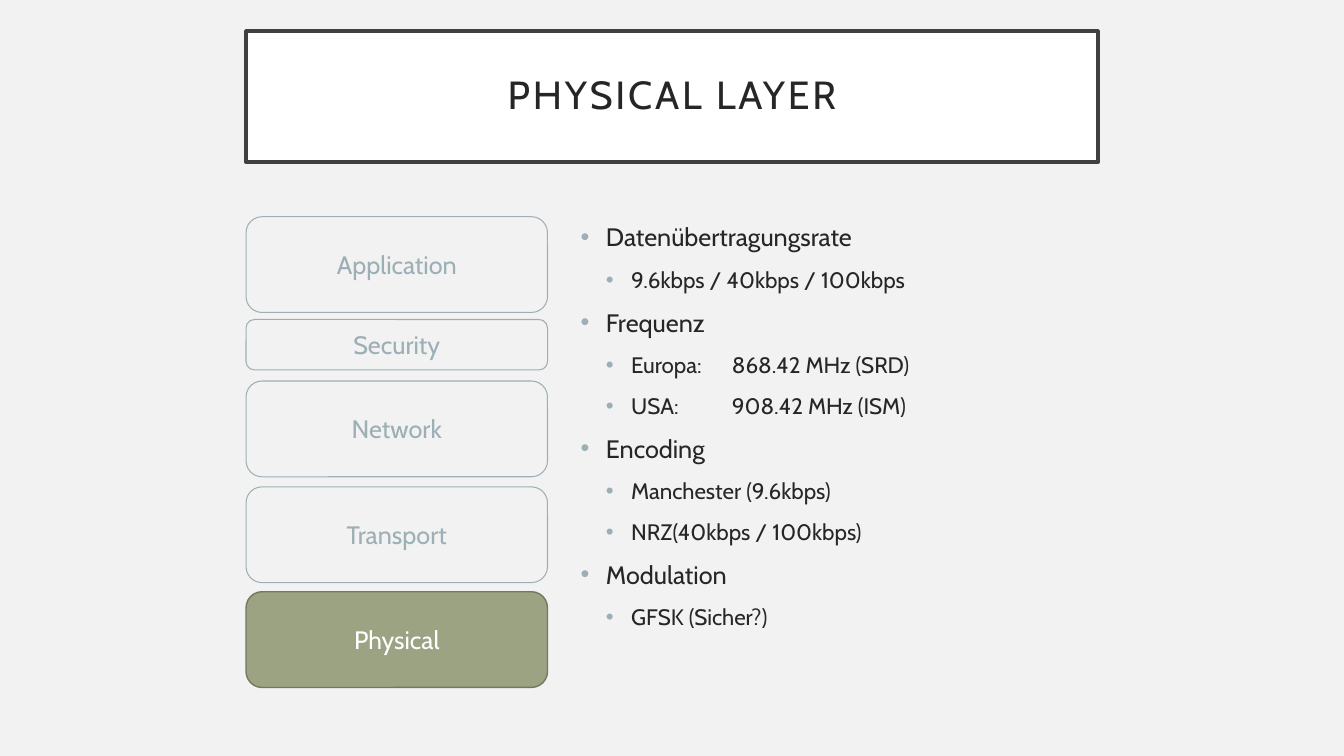
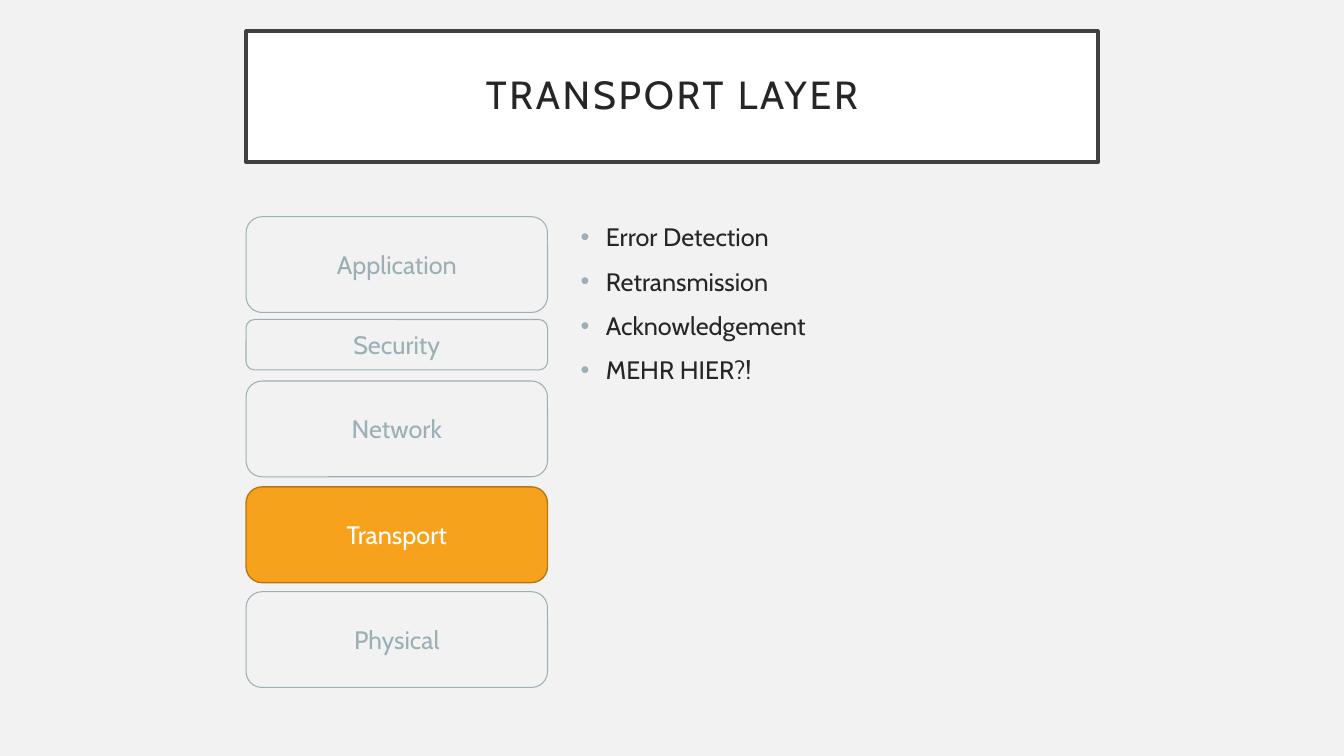
from lxml.etree import SubElement
from pptx import Presentation
from pptx.dml.color import RGBColor
from pptx.enum.shapes import MSO_SHAPE as Preset
from pptx.enum.text import MSO_ANCHOR as Anchor, MSO_AUTO_SIZE as AutoSize, PP_ALIGN as Align
from pptx.oxml.ns import qn
from pptx.util import Inches, Pt

COLORS = {
    "background": "F2F2F2",
    "white": "FFFFFF",
    "frame": "404040",
    "text": "262626",
    "muted": "9BAFB5",
    "green": "9CA383",
    "green_line": "737961",
    "orange": "F6A21D",
    "orange_line": "B67815",
}
FONT = "Cabin"
LEFT = 2.44
CONTENT_TOP = 2.15
LAYERS = [
    ("Application", CONTENT_TOP, 0.95),
    ("Security", 3.17, 0.5),
    ("Network", 3.78, 0.95),
    ("Transport", 4.83, 0.95),
    ("Physical", 5.87, 0.95),
]
BULLET_SIZES = [18, 16]

SLIDES = [
    ("PHYSICAL LAYER", "Physical", "green", [
        (0, "Datenübertragungsrate"),
        (1, "9.6kbps / 40kbps / 100kbps"),
        (0, "Frequenz"),
        (1, "Europa: \t868.42 MHz (SRD)"),
        (1, "USA:\t\t908.42 MHz (ISM)"),
        (0, "Encoding"),
        (1, "Manchester (9.6kbps)"),
        (1, "NRZ(40kbps / 100kbps)"),
        (0, "Modulation"),
        (1, "GFSK (Sicher?)"),
    ]),
    ("TRANSPORT LAYER", "Transport", "orange", [
        (0, "Error Detection"),
        (0, "Retransmission"),
        (0, "Acknowledgement"),
        (0, "MEHR HIER?!"),
    ]),
]


def color(name):
    return RGBColor.from_string(COLORS[name])


class Deck:
    def __init__(self):
        self.presentation = Presentation()
        self.presentation.slide_width = Inches(13.33)
        self.presentation.slide_height = Inches(7.5)
        fill = self.presentation.slide_master.background.fill
        fill.solid()
        fill.fore_color.rgb = color("background")
        self.slide = None

    def add_slide(self):
        layout = self.presentation.slide_layouts.get_by_name("Title and Content")
        self.slide = self.presentation.slides.add_slide(layout)

    def place(self, shape, left, top, width, height):
        shape.left, shape.top = Inches(left), Inches(top)
        shape.width, shape.height = Inches(width), Inches(height)

    def paint(self, shape, fill, line, weight):
        if fill:
            shape.fill.solid()
            shape.fill.fore_color.rgb = color(fill)
        else:
            shape.fill.background()
        shape.line.color.rgb = color(line)
        shape.line.width = Pt(weight)

    def add_run(self, paragraph, text, size, font_color):
        run = paragraph.add_run()
        run.text = text
        run.font.name = FONT
        run.font.size = Pt(size)
        run.font.color.rgb = color(font_color)
        return run

    def title(self, text):
        shape = self.slide.shapes.title
        self.place(shape, LEFT, 0.31, 8.45, 1.3)
        self.paint(shape, "white", "frame", 2.5)
        frame = shape.text_frame
        frame.auto_size = AutoSize.NONE
        frame.vertical_anchor = Anchor.MIDDLE
        frame.margin_left = frame.margin_right = Inches(0.2)
        frame.margin_top = frame.margin_bottom = Inches(0.2)
        paragraph = frame.paragraphs[0]
        paragraph.alignment = Align.CENTER
        paragraph.line_spacing = 0.9
        run = self.add_run(paragraph, text, 28, "text")
        run.font._element.set("spc", "200")

    def bullets(self, items):
        shape = self.slide.placeholders[1]
        self.place(shape, 5.66, CONTENT_TOP, 5.24, 4.82)
        frame = shape.text_frame
        frame.auto_size = AutoSize.NONE
        for index, (level, text) in enumerate(items):
            paragraph = frame.add_paragraph() if index else frame.paragraphs[0]
            paragraph.level = level
            paragraph.space_before = Pt(10)
            self.bullet(paragraph, 0.25 * (level + 1))
            self.add_run(paragraph, text, BULLET_SIZES[level], "text")

    def bullet(self, paragraph, indent):
        properties = paragraph._p.get_or_add_pPr()
        properties.set("marL", str(Inches(indent)))
        properties.set("indent", str(Inches(-0.25)))
        bullet_color = SubElement(properties, qn("a:buClr"))
        SubElement(bullet_color, qn("a:srgbClr"), val=COLORS["muted"])
        SubElement(properties, qn("a:buFont"), typeface="Arial")
        SubElement(properties, qn("a:buChar"), char="•")

    def layer(self, name, top, height, accent=None):
        shape = self.slide.shapes.add_shape(
            Preset.ROUNDED_RECTANGLE, Inches(LEFT), Inches(top), Inches(2.99), Inches(height))
        shape.shadow.inherit = False
        if accent:
            self.paint(shape, accent, accent + "_line", 1)
        else:
            self.paint(shape, None, "muted", 0.75)
        shape.text_frame.vertical_anchor = Anchor.MIDDLE
        paragraph = shape.text_frame.paragraphs[0]
        paragraph.alignment = Align.CENTER
        self.add_run(paragraph, name, 18, "white" if accent else "muted")

    def layer_stack(self, active, accent):
        for name, top, height in LAYERS:
            self.layer(name, top, height, accent if name == active else None)


def main():
    deck = Deck()
    for title, active, accent, items in SLIDES:
        deck.add_slide()
        deck.title(title)
        deck.bullets(items)
        deck.layer_stack(active, accent)
    deck.presentation.save("out.pptx")


if __name__ == "__main__":
    main()
